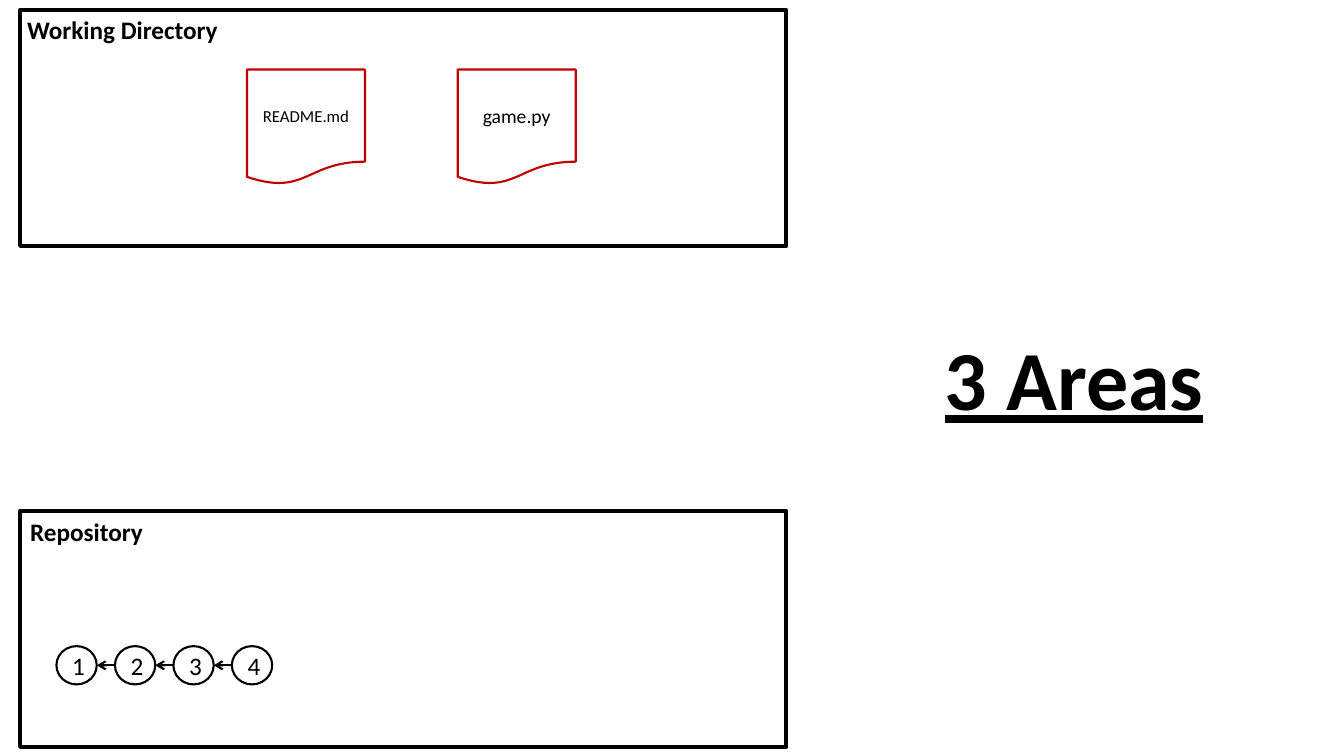
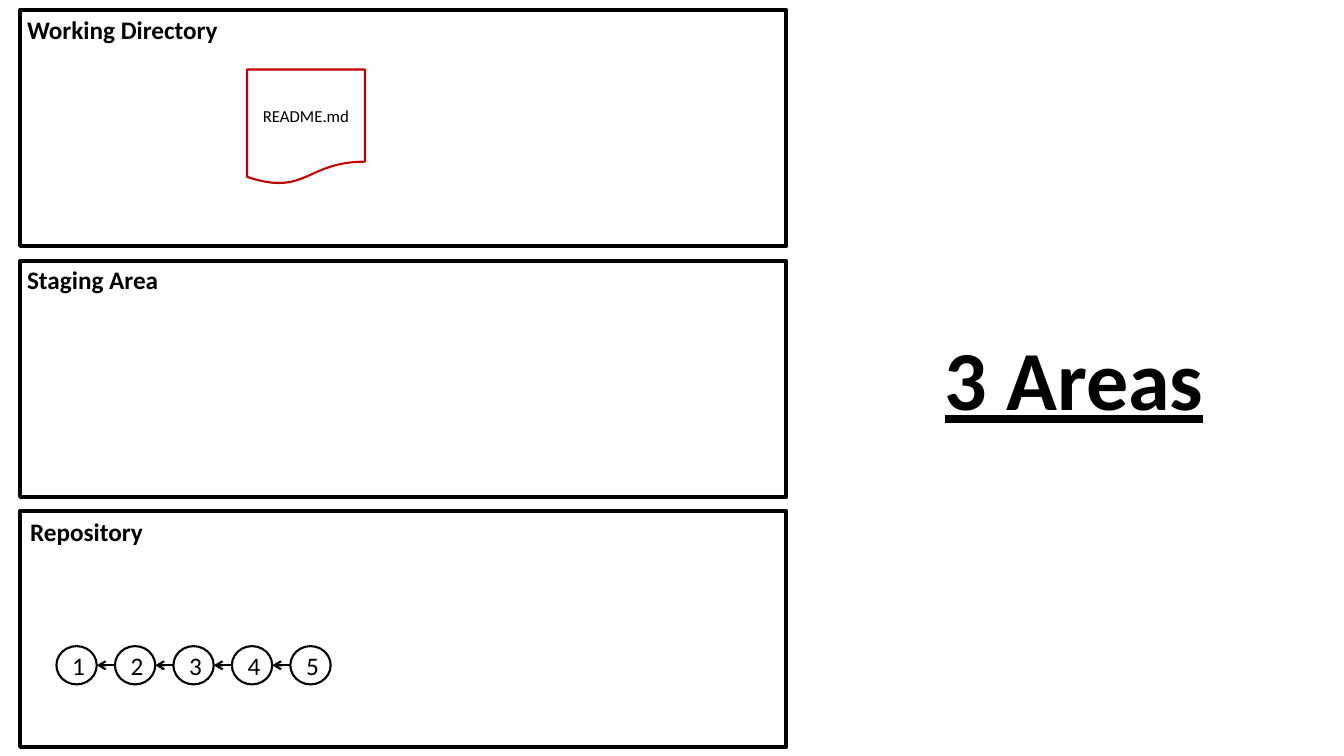
from dataclasses import dataclass

import pptx
import pptx.dml.color
import pptx.enum.shapes
import pptx.enum.text
import pptx.oxml
import pptx.oxml.ns
import pptx.shapes.autoshape
import pptx.slide
import pptx.text.text
import pptx.util

Inches = pptx.util.Inches
RGBColor = pptx.dml.color.RGBColor
Shape = pptx.enum.shapes.MSO_SHAPE
Slide = pptx.slide.Slide

BLACK = RGBColor(0x00, 0x00, 0x00)
WHITE = RGBColor(0xFF, 0xFF, 0xFF)
RED = RGBColor(0xC0, 0x00, 0x00)
FONT = "Calibri"

AREA_LEFT, AREA_W, AREA_H = 0.2, 7.6, 2.34
FILE_TOP, FILE_W, FILE_H = 0.69, 1.17, 1.14
COMMIT_LEFT, COMMIT_TOP, COMMIT_STEP = 0.56, 6.41, 0.58
COMMIT_W, COMMIT_H = 0.4, 0.38


@dataclass(frozen=True)
class Area:
    name: str
    top: float
    label_left: float
    label_top: float
    label_width: float


@dataclass(frozen=True)
class File:
    name: str
    left: float
    size: int


@dataclass(frozen=True)
class State:
    areas: tuple[Area, ...]
    files: tuple[File, ...]
    commits: int


WORKING = Area("Working Directory", 0.1, 0.17, 0.09, 2.12)
STAGING = Area("Staging Area", 2.59, 0.17, 2.57, 1.52)
REPOSITORY = Area("Repository", 5.07, 0.2, 5.07, 1.32)
README = File("README.md", 2.45, 12)
GAME = File("game.py", 4.54, 14)

STATES = (
    State((WORKING, REPOSITORY), (README, GAME), 4),
    State((WORKING, STAGING, REPOSITORY), (README,), 5),
)


def write(tf: pptx.text.text.TextFrame, text: str, size: int,
          bold: bool = False, underline: bool = False,
          align: pptx.enum.text.PP_ALIGN = pptx.enum.text.PP_ALIGN.LEFT) -> None:
    tf.text = text
    tf.word_wrap = True
    p = tf.paragraphs[0]
    p.alignment = align
    r = p.runs[0]
    r.font.name = FONT
    r.font.size = pptx.util.Pt(size)
    r.font.bold = bold
    r.font.underline = underline
    r.font.color.rgb = BLACK


def add_outline(s: Slide, kind: Shape, left: float, top: float, width: float,
                height: float, color: RGBColor,
                weight: float) -> pptx.shapes.autoshape.Shape:
    sp = s.shapes.add_shape(kind, Inches(left), Inches(top), Inches(width), Inches(height))
    sp.shadow.inherit = False
    sp.fill.background()
    sp.line.color.rgb = color
    sp.line.width = pptx.util.Pt(weight)
    return sp


def add_node(s: Slide, kind: Shape, left: float, top: float, width: float,
             height: float, color: RGBColor, text: str, size: int) -> None:
    sp = add_outline(s, kind, left, top, width, height, color, 1.5)
    sp.fill.solid()
    sp.fill.fore_color.rgb = WHITE
    sp.text_frame.vertical_anchor = pptx.enum.text.MSO_ANCHOR.MIDDLE
    write(sp.text_frame, text, size, align=pptx.enum.text.PP_ALIGN.CENTER)


def add_title(s: Slide, text: str) -> None:
    sp = s.shapes.title
    sp.left, sp.top = Inches(9.27), Inches(3.19)
    sp.width, sp.height = Inches(2.83), Inches(1.11)
    tf = sp.text_frame
    tf.vertical_anchor = pptx.enum.text.MSO_ANCHOR.TOP
    tf.auto_size = pptx.enum.text.MSO_AUTO_SIZE.NONE
    write(tf, text, 60, bold=True, underline=True)


def add_area(s: Slide, area: Area) -> None:
    sp = s.shapes.add_textbox(Inches(area.label_left), Inches(area.label_top),
                              Inches(area.label_width), Inches(0.4))
    write(sp.text_frame, area.name, 18, bold=True)
    add_outline(s, Shape.RECTANGLE, AREA_LEFT, area.top, AREA_W, AREA_H, BLACK, 3)


def add_arrow(s: Slide, start: float, end: float, y: float) -> None:
    line = s.shapes.add_connector(pptx.enum.shapes.MSO_CONNECTOR.STRAIGHT,
                                  Inches(start), Inches(y), Inches(end), Inches(y))
    line.line.color.rgb = BLACK
    line.line.width = pptx.util.Pt(1.5)
    tail = pptx.oxml.parse_xml(
        f'<a:tailEnd {pptx.oxml.ns.nsdecls("a")} type="arrow"/>')
    line.line._get_or_add_ln().append(tail)
    line._element.spPr.append(
        pptx.oxml.parse_xml(f'<a:effectLst {pptx.oxml.ns.nsdecls("a")}/>'))


def add_commits(s: Slide, count: int) -> None:
    for i in range(count):
        left = COMMIT_LEFT + i * COMMIT_STEP
        add_node(s, Shape.FLOWCHART_CONNECTOR, left, COMMIT_TOP, COMMIT_W, COMMIT_H,
                 BLACK, str(i + 1), 18)
        if i:
            add_arrow(s, left, left - COMMIT_STEP + COMMIT_W, COMMIT_TOP + COMMIT_H / 2)


def add_state(prs: pptx.presentation.Presentation, state: State) -> None:
    s = prs.slides.add_slide(prs.slide_layouts[5])
    add_title(s, "3 Areas")
    for area in state.areas:
        add_area(s, area)
    for file in state.files:
        add_node(s, Shape.FLOWCHART_DOCUMENT, file.left, FILE_TOP, FILE_W, FILE_H,
                 RED, file.name, file.size)
    add_commits(s, state.commits)


def main() -> None:
    prs = pptx.Presentation()
    prs.slide_width, prs.slide_height = Inches(13.33), Inches(7.5)
    for state in STATES:
        add_state(prs, state)
    prs.save("out.pptx")


if __name__ == "__main__":
    main()
